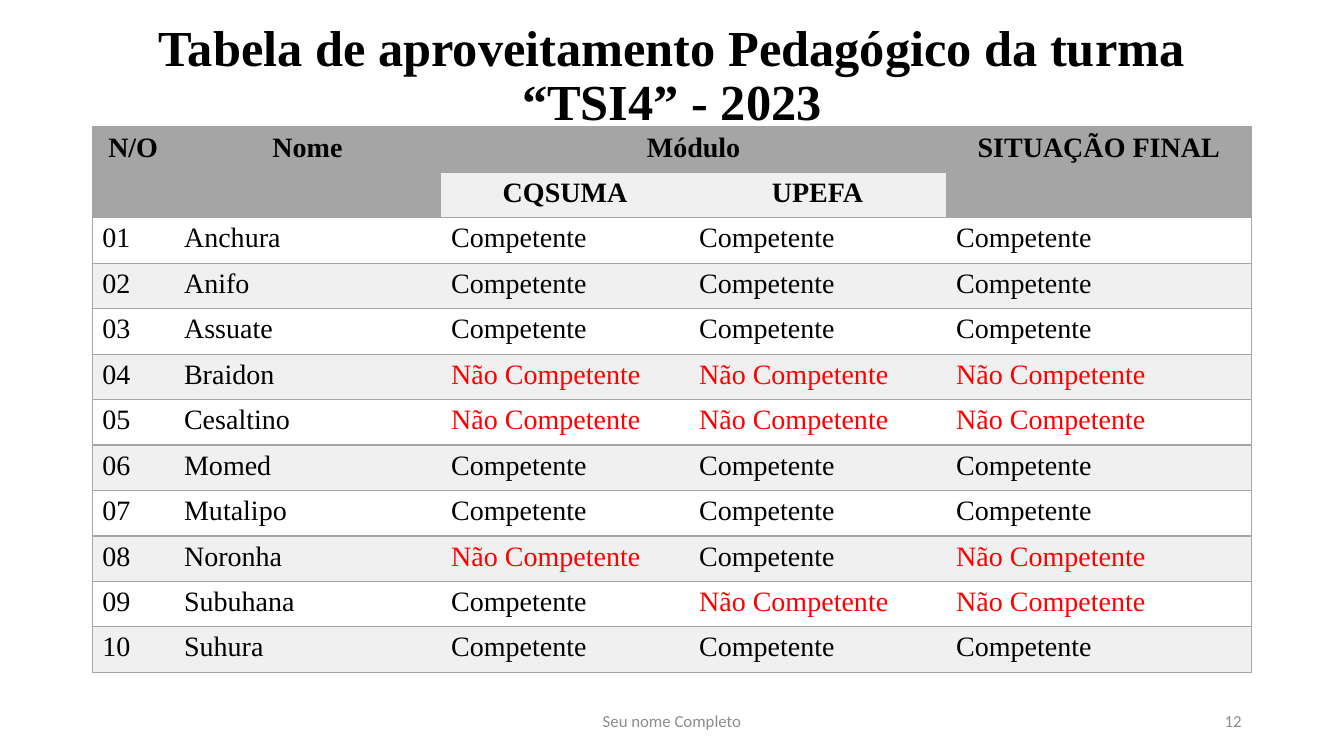
import dataclasses

import pptx
import pptx.util
import pptx.dml.color
import pptx.enum.text
import pptx.oxml
import pptx.oxml.ns

Pt = pptx.util.Pt
Align = pptx.enum.text.PP_ALIGN
Anchor = pptx.enum.text.MSO_ANCHOR


@dataclasses.dataclass(frozen=True)
class Theme:
    serif: str = "Times New Roman"
    sans: str = "Calibri"
    ink: str = "000000"
    alert: str = "FF0000"
    muted: str = "8C8C8C"
    head: str = "A5A5A5"
    band: str = "F0F0F0"
    paper: str = "FFFFFF"
    title: int = 36
    body: int = 20
    small: int = 12


THEME = Theme()
LEFT, WIDTH = 66, 828
ROW = 32.46
COLS = (58.3, 190.8, 177.1, 183.6, 218.2)
HEADS = (
    ("N/O", "Nome", "Módulo", "", "SITUAÇÃO FINAL"),
    ("", "", "CQSUMA", "UPEFA", ""),
)
YES, NO = "Competente", "Não Competente"
PUPILS = (
    ("Anchura", YES, YES),
    ("Anifo", YES, YES),
    ("Assuate", YES, YES),
    ("Braidon", NO, NO),
    ("Cesaltino", NO, NO),
    ("Momed", YES, YES),
    ("Mutalipo", YES, YES),
    ("Noronha", NO, YES),
    ("Subuhana", YES, NO),
    ("Suhura", YES, YES),
)


def rgb(code):
    return pptx.dml.color.RGBColor.from_string(code)


def write(frame, text, font, size, color, align, bold=False):
    frame.text = text
    para = frame.paragraphs[0]
    para.alignment = align
    for run in para.runs:
        run.font.name = font
        run.font.size = Pt(size)
        run.font.bold = bold
        run.font.color.rgb = rgb(color)
    return para


def add_title(slide, text):
    shape = slide.shapes.title
    shape.left, shape.top = Pt(LEFT), Pt(28.8)
    shape.width, shape.height = Pt(WIDTH), Pt(52.6)
    frame = shape.text_frame
    frame.auto_size = pptx.enum.text.MSO_AUTO_SIZE.NONE
    frame.vertical_anchor = Anchor.MIDDLE
    para = write(frame, text, THEME.serif, THEME.title, THEME.ink,
                 Align.CENTER, True)
    para.line_spacing = 0.9


def add_note(slide, text, left, width, align):
    box = slide.shapes.add_textbox(Pt(left), Pt(500.4), Pt(width), Pt(28.8))
    frame = box.text_frame
    frame.word_wrap = True
    frame.vertical_anchor = Anchor.MIDDLE
    write(frame, text, THEME.sans, THEME.small, THEME.muted, align)


def set_edges(cell, first, last):
    props = cell._tc.get_or_add_tcPr()
    space = pptx.oxml.ns.nsdecls("a")
    for side, shown in (("L", first), ("R", last), ("T", True), ("B", True)):
        fill = "<a:noFill/>"
        if shown:
            fill = (f'<a:solidFill><a:srgbClr val="{THEME.head}"/>'
                    "</a:solidFill>")
        props.append(pptx.oxml.parse_xml(
            f'<a:ln{side} {space} w="{Pt(1)}">{fill}</a:ln{side}>'))


def cell_fill(row, col):
    if row == 0 or (row == 1 and col not in (2, 3)):
        return THEME.head
    return THEME.band if row % 2 else THEME.paper


def get_rows():
    rows = list(HEADS)
    for num, (name, *marks) in enumerate(PUPILS, 1):
        final = NO if NO in marks else YES
        rows.append((f"{num:02}", name, *marks, final))
    return rows


def add_grid(slide):
    rows = get_rows()
    table = slide.shapes.add_table(
        len(rows), len(COLS), Pt(LEFT), Pt(90.7), Pt(WIDTH),
        Pt(ROW * len(rows))).table
    table.horz_banding = False
    for col, width in zip(table.columns, COLS):
        col.width = Pt(width)
    for i, row in enumerate(rows):
        table.rows[i].height = Pt(ROW)
        for j, text in enumerate(row):
            cell = table.cell(i, j)
            head = i < len(HEADS)
            write(cell.text_frame, text, THEME.serif, THEME.body,
                  THEME.alert if text == NO else THEME.ink,
                  Align.CENTER if head else Align.LEFT, head)
            set_edges(cell, j == 0, j == len(COLS) - 1)
            cell.fill.solid()
            cell.fill.fore_color.rgb = rgb(cell_fill(i, j))
    for col in (0, 1, 4):
        table.cell(0, col).merge(table.cell(1, col))
    table.cell(0, 2).merge(table.cell(0, 3))


def main():
    deck = pptx.Presentation()
    deck.slide_width, deck.slide_height = Pt(960), Pt(540)
    slide = deck.slides.add_slide(deck.slide_layouts[5])
    add_title(slide, "Tabela de aproveitamento Pedagógico da turma “TSI4” - 2023")
    add_grid(slide)
    add_note(slide, "Seu nome Completo", 318, 324, Align.CENTER)
    add_note(slide, "12", 678, 216, Align.RIGHT)
    deck.save("out.pptx")


main()
